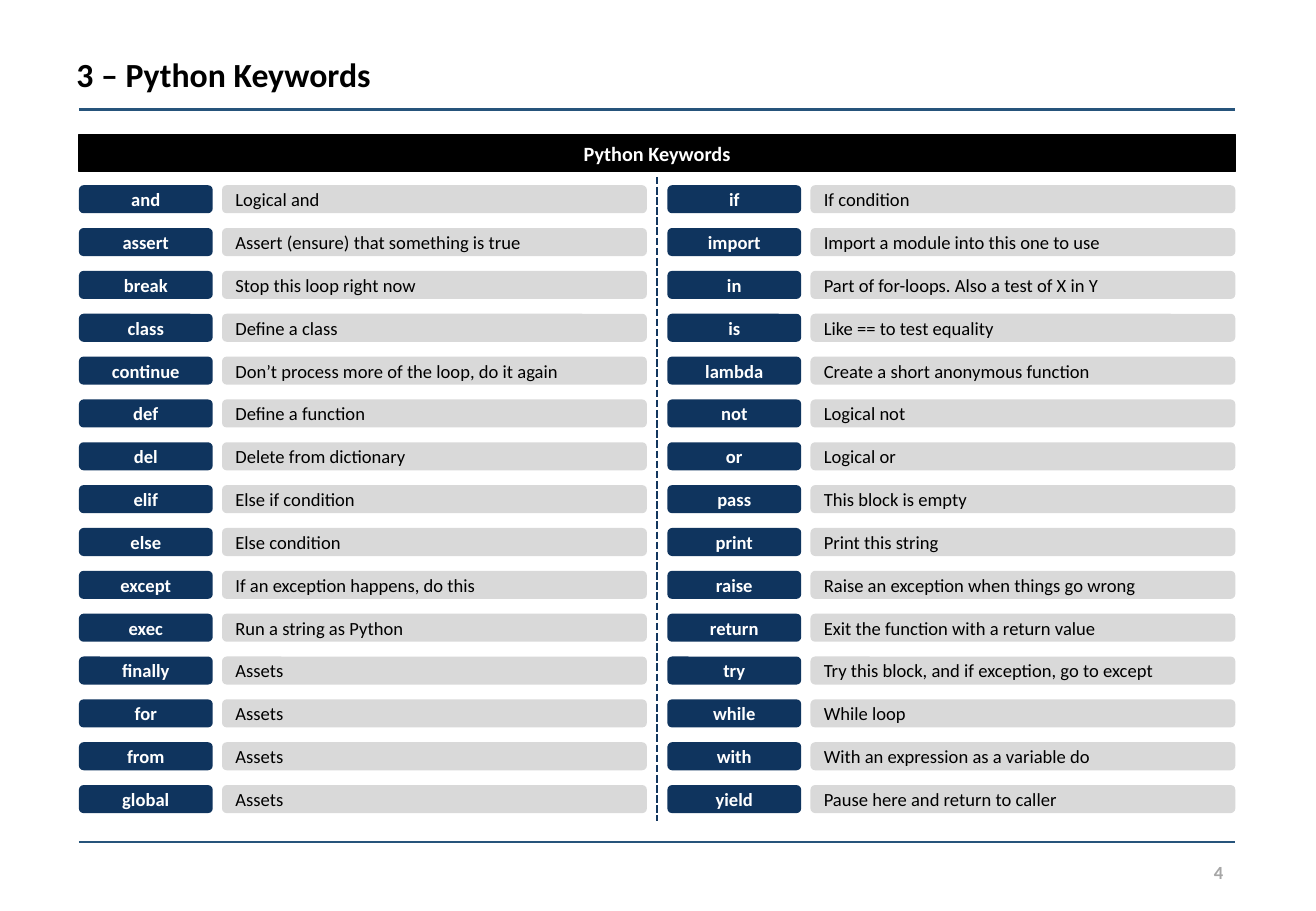
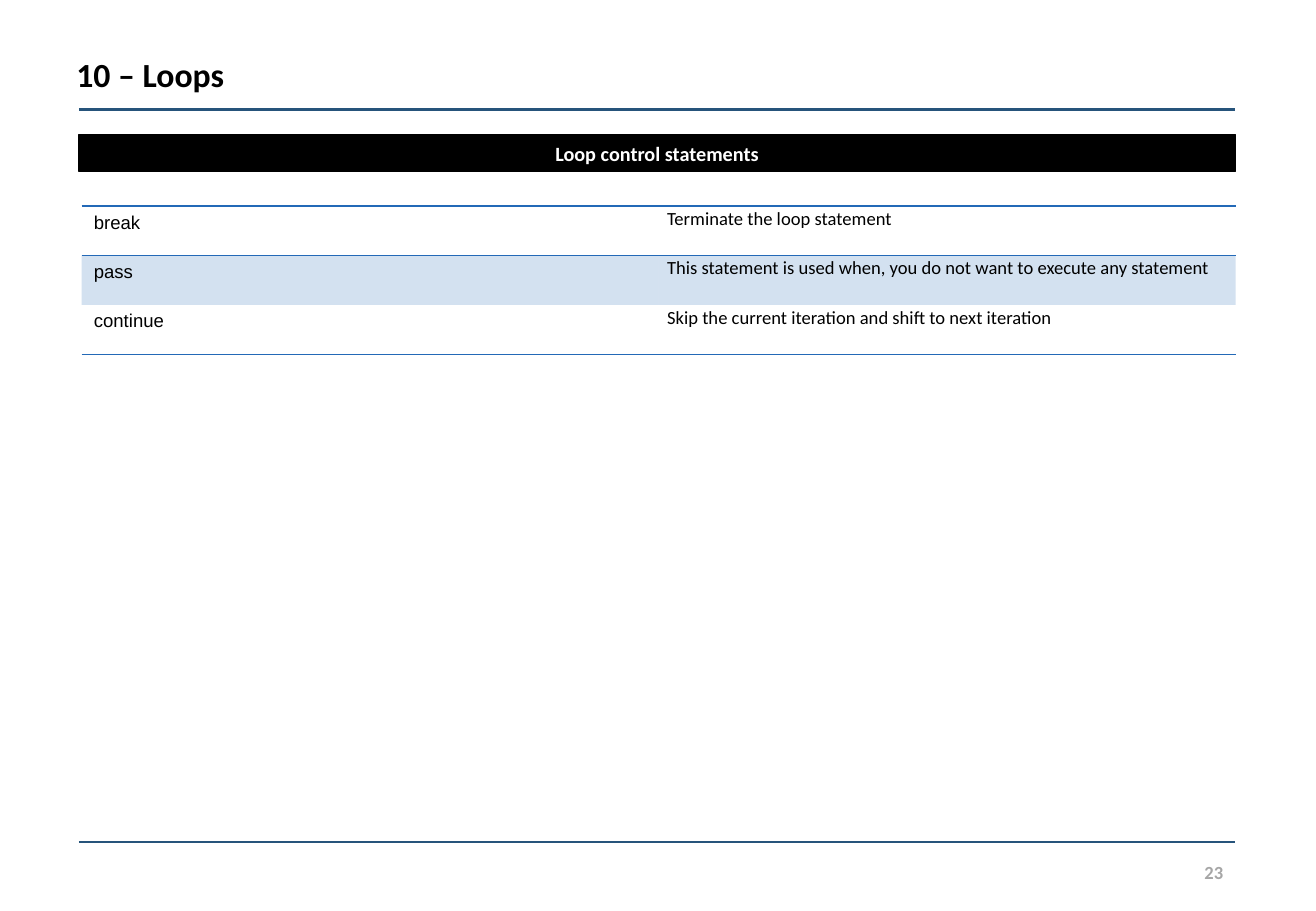
from lxml.etree import SubElement
from pptx import Presentation
from pptx.dml.color import RGBColor
from pptx.enum.dml import MSO_LINE
from pptx.enum.shapes import MSO_CONNECTOR, MSO_SHAPE
from pptx.enum.text import MSO_ANCHOR, PP_ALIGN
from pptx.oxml.ns import qn
from pptx.util import Pt

BLACK = RGBColor(0x00, 0x00, 0x00)
WHITE = RGBColor(0xFF, 0xFF, 0xFF)
NAVY = RGBColor(0x0F, 0x34, 0x5E)
DASH = RGBColor(0x12, 0x36, 0x5E)
RULE = RGBColor(0x26, 0x54, 0x7B)
BLUE = RGBColor(0x23, 0x69, 0xB7)
PALE = RGBColor(0xD9, 0xD9, 0xD9)
GREY = RGBColor(0xA6, 0xA6, 0xA6)

WIDE, HIGH = 780, 540
LEFT, SPAN = 46.8, 685.4
PLAIN = "{2D5ABB26-0587-4C30-8999-92F81FD0307C}"  # table style without grid

WORDS = [
    [("and", "Logical and"),
     ("assert", "Assert (ensure) that something is true"),
     ("break", "Stop this loop right now"),
     ("class", "Define a class"),
     ("continue", "Don’t process more of the loop, do it again"),
     ("def", "Define a function"),
     ("del", "Delete from dictionary"),
     ("elif", "Else if condition"),
     ("else", "Else condition"),
     ("except", "If an exception happens, do this"),
     ("exec", "Run a string as Python"),
     ("finally", "Assets"),
     ("for", "Assets"),
     ("from", "Assets"),
     ("global", "Assets")],
    [("if", "If condition"),
     ("import", "Import a module into this one to use"),
     ("in", "Part of for-loops. Also a test of X in Y"),
     ("is", "Like == to test equality"),
     ("lambda", "Create a short anonymous function"),
     ("not", "Logical not"),
     ("or", "Logical or"),
     ("pass", "This block is empty"),
     ("print", "Print this string"),
     ("raise", "Raise an exception when things go wrong"),
     ("return", "Exit the function with a return value"),
     ("try", "Try this block, and if exception, go to except"),
     ("while", "While loop"),
     ("with", "With an expression as a variable do"),
     ("yield", "Pause here and return to caller")],
]

LOOPS = [
    ("break", "Terminate the loop statement"),
    ("pass", "This statement is used when, you do not want to execute any statement"),
    ("continue", "Skip the current iteration and shift to next iteration"),
]


def write(frame, text, size=11, color=BLACK, bold=False, font="Calibri",
          align=PP_ALIGN.LEFT, space=None):
    para = frame.paragraphs[0]
    para.alignment = align
    para.line_spacing = space
    run = para.add_run()
    run.text = text
    run.font.size = Pt(size)
    run.font.bold = bold
    run.font.name = font
    run.font.color.rgb = color


def center(frame):
    frame.word_wrap = True
    frame.vertical_anchor = MSO_ANCHOR.MIDDLE
    frame.margin_top = frame.margin_bottom = 0


def label(slide, box, text, **style):
    item = slide.shapes.add_textbox(*map(Pt, box))
    center(item.text_frame)
    write(item.text_frame, text, **style)


def block(slide, kind, box, fill, text, edge=None, **style):
    item = slide.shapes.add_shape(kind, *map(Pt, box))
    item.shadow.inherit = False
    item.fill.solid()
    item.fill.fore_color.rgb = fill
    if edge:
        item.line.color.rgb = fill
        item.line.width = Pt(edge)
    else:
        item.line.fill.background()
    center(item.text_frame)
    write(item.text_frame, text, **style)


def stroke(slide, ends, color, dash=None):
    line = slide.shapes.add_connector(MSO_CONNECTOR.STRAIGHT, *map(Pt, ends))
    line.line.color.rgb = color
    line.line.width = Pt(1.5)
    if dash:
        line.line.dash_style = dash
    SubElement(line._element.spPr, qn("a:effectLst"))


# Title, rules, band and page number of every slide
def base(deck, title, band, page):
    slide = deck.slides.add_slide(deck.slide_layouts[6])
    right = LEFT + SPAN
    for y in (64.8, 499):
        stroke(slide, (LEFT, y, right, y), RULE)
    label(slide, (right - 132.5, 499, 132.5, 35.3), str(page),
          color=GREY, bold=True, align=PP_ALIGN.RIGHT)
    label(slide, (38.2, 27.4, 705.6, 32.4), title, size=20, bold=True)
    block(slide, MSO_SHAPE.RECTANGLE, (LEFT, 79.9, SPAN, 21.6), BLACK, band,
          edge=0.75, size=12, color=WHITE, bold=True, align=PP_ALIGN.CENTER)
    return slide


# One column of keyword pills with their meanings
def column(slide, box, pairs):
    left, top, width, height = box
    key, gap, thick = 79.3, 5.5, 16.6
    step = (height - thick) / (len(pairs) - 1)
    start = key + gap
    for i, (word, note) in enumerate(pairs):
        y = top + i * step
        block(slide, MSO_SHAPE.ROUNDED_RECTANGLE, (left, y, key, thick), NAVY,
              word, color=WHITE, bold=True, align=PP_ALIGN.CENTER)
        block(slide, MSO_SHAPE.ROUNDED_RECTANGLE,
              (left + start, y, width - start, thick), PALE, note)


# Two keyword columns with a dashed divider
def words(slide, box):
    left, top, width, height = box
    part = 336.6
    for x, pairs in zip((left, left + width - part), WORDS):
        column(slide, (x, top, part, height), pairs)
    mid = left + width / 2
    stroke(slide, (mid, top - 5, mid, top + height + 4.5), DASH, MSO_LINE.SQUARE_DOT)


def border(cell, side):
    line = SubElement(cell._tc.get_or_add_tcPr(), qn("a:ln" + side), w=str(Pt(1)))
    fill = SubElement(line, qn("a:solidFill"))
    SubElement(fill, qn("a:srgbClr"), val=str(BLUE))


def tint(cell):
    cell.fill.solid()
    cell.fill.fore_color.rgb = BLUE
    color = cell._tc.tcPr.find(qn("a:solidFill")).find(qn("a:srgbClr"))
    SubElement(color, qn("a:alpha"), val="20000")


# Table of loop statements
def loops(slide, box):
    count = len(LOOPS)
    table = slide.shapes.add_table(count, 2, *map(Pt, box)).table
    table.first_row = table.horz_banding = False
    table._tbl.tblPr.find(qn("a:tableStyleId")).text = PLAIN
    sides = ("TB", "", "B")
    for r, pair in enumerate(LOOPS):
        table.rows[r].height = Pt(box[3] / count)
        for c, text in enumerate(pair):
            cell = table.cell(r, c)
            for side in sides[r]:
                border(cell, side)
            if r % 2:
                tint(cell)
            else:
                cell.fill.background()
            if c:
                cell.margin_left = cell.margin_right = Pt(5)
                cell.margin_top = cell.margin_bottom = 0
                write(cell.text_frame, text, space=1.07)
            else:
                write(cell.text_frame, text, font="Arial")


def main():
    deck = Presentation()
    deck.slide_width, deck.slide_height = Pt(WIDE), Pt(HIGH)
    words(base(deck, "3 – Python Keywords", "Python Keywords", 4),
          (LEFT, 109.8, SPAN, 372.2))
    loops(base(deck, "10 – Loops", "Loop control statements", 23),
          (48.4, 122.2, 684, 87.9))
    deck.save("out.pptx")


if __name__ == "__main__":
    main()
